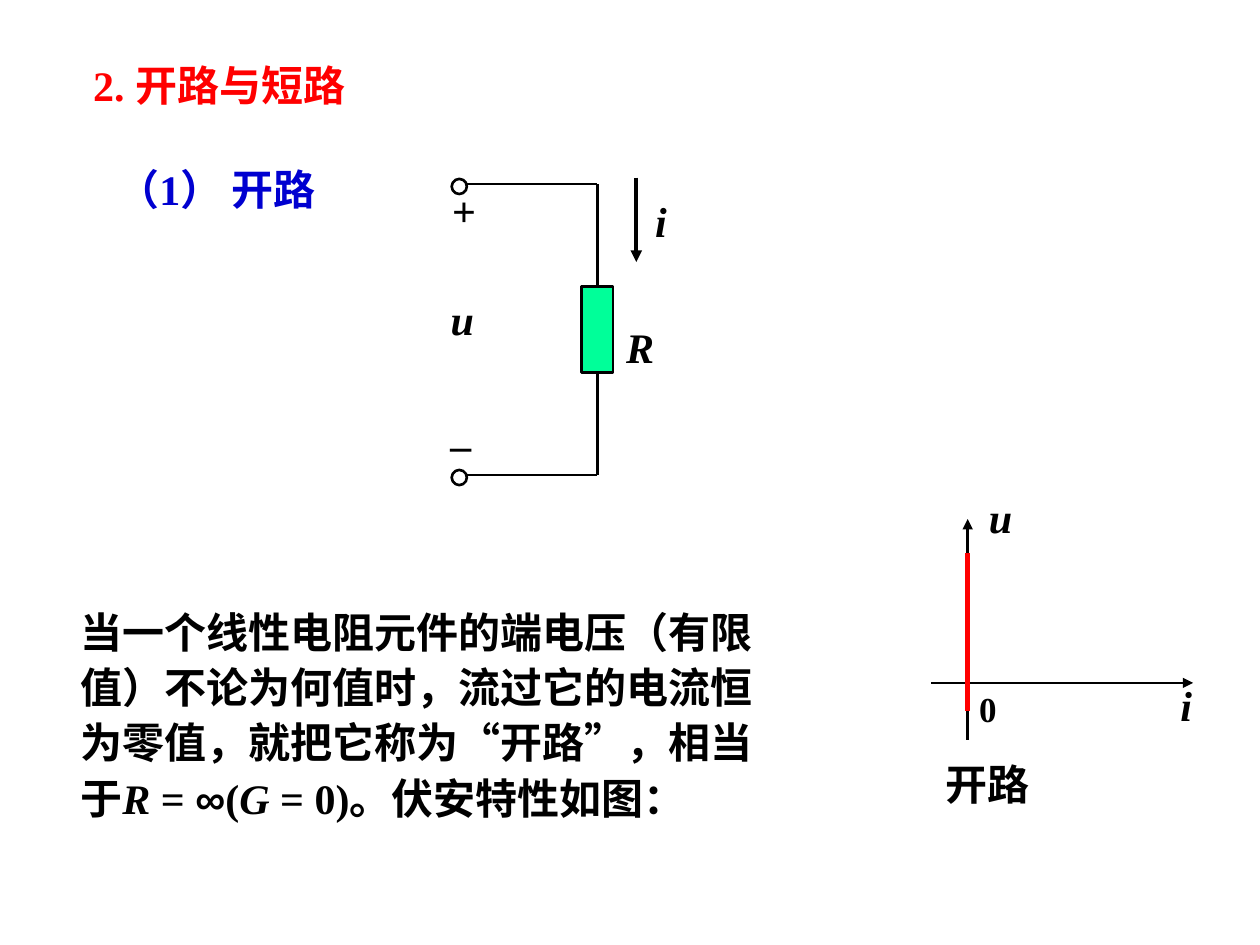
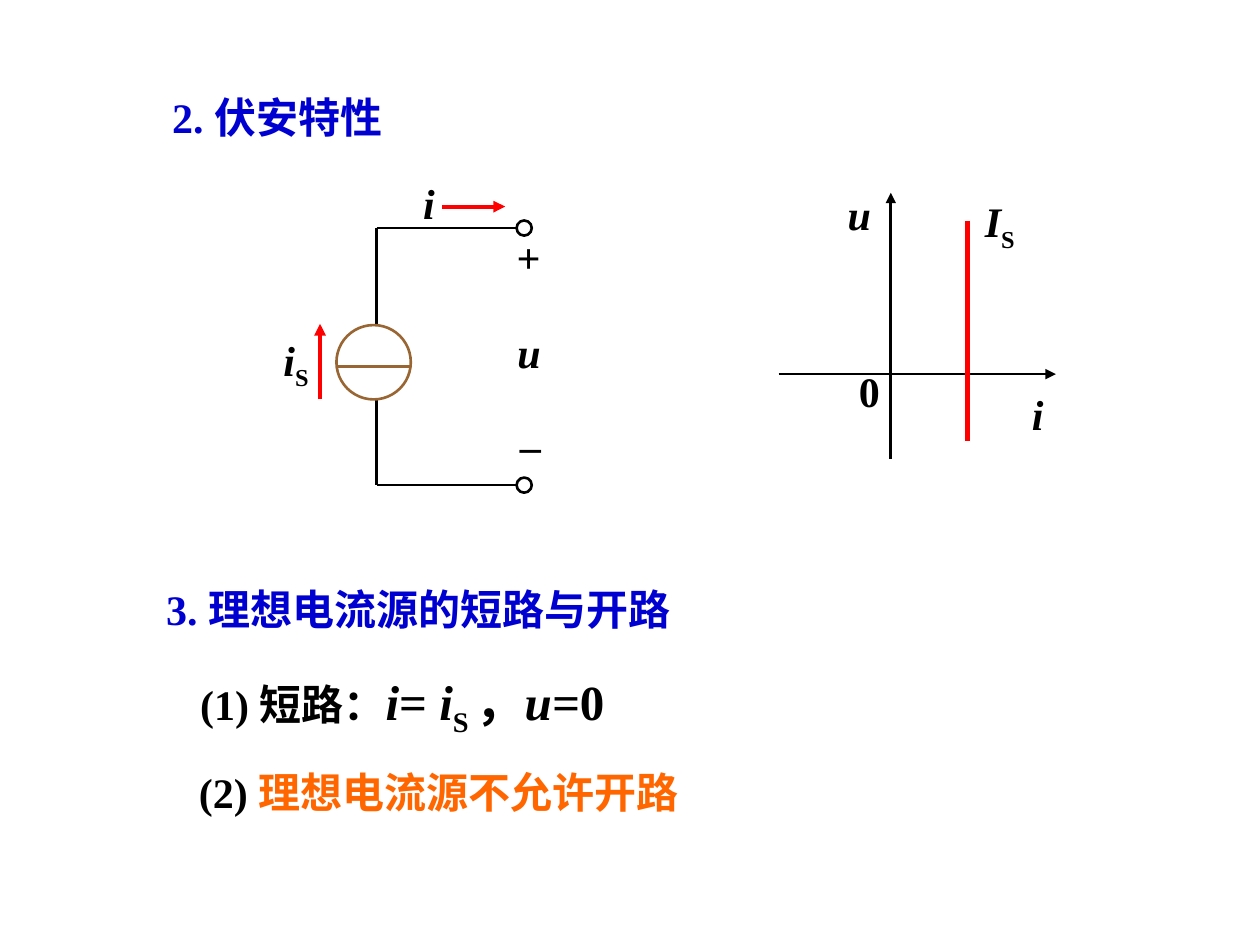
from dataclasses import dataclass
from lxml import etree
from pptx import Presentation
from pptx import util as u
from pptx.dml.color import RGBColor
from pptx.enum import shapes, text
from pptx.oxml.ns import qn

BLACK = RGBColor(0x00, 0x00, 0x00)
RED = RGBColor(0xFF, 0x00, 0x00)
BLUE = RGBColor(0x00, 0x00, 0xD0)
GREEN = RGBColor(0x00, 0xFF, 0x99)
BROWN = RGBColor(0x99, 0x66, 0x33)
ORANGE = RGBColor(0xFF, 0x66, 0x00)
COLS, ROWS = 100, 75
CELL = u.Inches(10) / COLS


@dataclass
class Run:
    """A stretch of text with one format."""
    text: str
    size: int = 24
    color: RGBColor = BLACK
    italic: bool = False
    sub: bool = False
    font: str = "Times New Roman"


def var(name, size=24):
    """Return an italic run for a variable."""
    return Run(name, size, italic=True)


def sub(name, size=24):
    """Return a subscript run."""
    return Run(name, size, sub=True)


def cells(*counts):
    """Convert grid cells to lengths."""
    return [u.Emu(round(n * CELL)) for n in counts]


def write(sp, runs, align, wrap=True, spacing=None):
    """Fill a text shape with one paragraph of formatted runs."""
    tf = sp.text_frame
    tf.auto_size = text.MSO_AUTO_SIZE.NONE
    tf.word_wrap = wrap
    tf.vertical_anchor = text.MSO_ANCHOR.MIDDLE
    tf.margin_left = tf.margin_right = u.Inches(0.1)
    tf.margin_top = tf.margin_bottom = u.Inches(0.05)
    p = tf.paragraphs[0]
    p.alignment = align
    if spacing:
        p.line_spacing = spacing
    for run in runs:
        r = p.add_run()
        r.text = run.text
        r.font.name = run.font
        r.font.size = u.Pt(run.size)
        r.font.bold = True
        r.font.italic = run.italic
        r.font.color.rgb = run.color
        if run.sub:
            r.font._element.set("baseline", "-25000")


@dataclass
class Region:
    """A part of a slide whose contents are placed from its top left cell."""
    s: object
    left: float
    top: float

    def at(self, x, y):
        """Return the slide position of a point in the region."""
        return cells(self.left + x, self.top + y)

    def label(self, x, y, *runs, rotation=0):
        """Centre a short label on a point."""
        sp = self.s.shapes.add_textbox(*self.at(x - 2.5, y - 2.5), *cells(5, 5))
        sp.rotation = rotation
        write(sp, runs, text.PP_ALIGN.CENTER, wrap=False)

    def line(self, x1, y1, x2, y2, color=BLACK, width=1.5, arrow=False):
        """Draw a straight line, with an arrowhead at its end if asked."""
        c = self.s.shapes.add_connector(
            shapes.MSO_CONNECTOR.STRAIGHT, *self.at(x1, y1), *self.at(x2, y2))
        c.line.color.rgb = color
        c.line.width = u.Pt(width)
        spPr = c._element.spPr
        if arrow:
            etree.SubElement(spPr.find(qn("a:ln")), qn("a:tailEnd"), type="triangle")
        etree.SubElement(spPr, qn("a:effectLst"))
        return c

    def shape(self, kind, x, y, w, h, line=BLACK, fill=None):
        """Draw an outlined shape centred on a point."""
        sp = self.s.shapes.add_shape(kind, *self.at(x - w / 2, y - h / 2), *cells(w, h))
        sp.shadow.inherit = False
        sp.line.color.rgb = line
        sp.line.width = u.Pt(1.5)
        if fill is None:
            sp.fill.background()
        else:
            sp.fill.solid()
            sp.fill.fore_color.rgb = fill
        return sp

    def circle(self, x, y, size=1.2, line=BLACK):
        """Draw a hollow circle centred on a point."""
        return self.shape(shapes.MSO_SHAPE.OVAL, x, y, size, size, line)


def titled_slide(prs, title, color, left, top, width):
    """Add a slide and place its title."""
    s = prs.slides.add_slide(prs.slide_layouts[5])
    sp = s.shapes.title
    sp.left, sp.top, sp.width, sp.height = cells(left, top, width, 5)
    write(sp, [Run(title, color=color)], text.PP_ALIGN.CENTER)
    return s


def add_text(s, left, top, width, height, *runs,
             align=text.PP_ALIGN.LEFT, spacing=None):
    """Add a wrapping text box."""
    sp = s.shapes.add_textbox(*cells(left, top, width, height))
    write(sp, runs, align, spacing=spacing)


def resistor_circuit(region):
    """Draw a resistor between two terminals."""
    x, top, bottom = 12.4, 0.6, 23.7
    resistor = region.shape(shapes.MSO_SHAPE.RECTANGLE, x, 12.15, 2.5, 6.8, fill=GREEN)
    for y, side, edge in ((top, 0, 8.75), (bottom, 2, 15.55)):
        region.line(x, edge, x, y).begin_connect(resistor, side)
        region.line(x, y, 2.1, y)
        region.circle(1.45, y + 0.2)
    region.line(15.5, 0.1, 15.5, 6.8, width=2.25, arrow=True)
    region.label(15.8, 13.5, var("R"))
    region.label(17.45, 3.5, var("i"))
    region.label(1.7, 11.3, var("u"))
    region.label(2.05, 2.9, var("+"), rotation=90)
    region.label(1.6, 21.2, var("–"))


def source_circuit(region):
    """Draw a current source between two terminals."""
    x, top, bottom = 8.4, 4.5, 24.9
    for y, edge in ((top, 12.1), (bottom, 18.1)):
        region.line(x, edge, x, y)
        region.line(x, y, 19.5, y)
        region.circle(20.1, y)
    region.circle(8.15, 15.15, 5.9, BROWN)
    region.line(5.2, 15.5, 11.1, 15.5, BROWN)
    for arrow in ((13.6, 2.8, 18.6, 2.8), (3.9, 18.1, 3.9, 12.1)):
        region.line(*arrow, color=RED, width=2.25, arrow=True)
    region.label(2, 15.2, var("i"), sub("S"))
    region.label(12.55, 2.5, var("i"))
    region.label(20.5, 14.3, var("u"))
    region.label(20.45, 7.2, Run("+"), rotation=180)
    region.label(20.6, 20.6, Run("_"))


def characteristic(region, width, height, origin, curve, labels):
    """Draw the u-i axes, a vertical red curve and the labels."""
    x0, y0 = origin
    x, top, bottom = curve
    region.line(0, y0, width, y0, arrow=True)
    region.line(x0, height, x0, 0, arrow=True)
    region.line(x, top, x, bottom, RED, 3)
    for x, y, *runs in labels:
        region.label(x, y, *runs)


def open_circuit_slide(prs):
    """Build the slide on the open circuit."""
    s = titled_slide(prs, "2. 开路与短路", RED, 4.5, 4.2, 25.8)
    add_text(s, 4.3, 12.5, 25.8, 5, Run("（1） 开路", color=BLUE),
             align=text.PP_ALIGN.CENTER)
    resistor_circuit(Region(s, 35, 14))
    add_text(s, 5.4, 47.2, 57.3, 18.6,
             Run("当一个线性电阻元件的端电压（有限值）不论为何值时，"
                 "流过它的电流恒为零值，就把它称为“开路”，相当于"),
             var("R "), Run("= "), Run("∞", font="Arial"), Run("("), var("G "),
             Run("= 0)。伏安特性如图："), spacing=1.1)
    characteristic(Region(s, 73.9, 41.2), 20.8, 17.5, (2.9, 13), (2.9, 2.7, 15.2), [
        (5.5, -0.2, var("u")), (20.25, 14.7, var("i")),
        (4.5, 15, Run("0", 20)), (4.5, 21, Run("开路"))])


def current_source_slide(prs):
    """Build the slide on the ideal current source."""
    s = titled_slide(prs, "2. 伏安特性", BLUE, 9, 6.8, 26)
    source_circuit(Region(s, 21.5, 13.6))
    characteristic(Region(s, 61.8, 15.3), 22, 21.1, (8.9, 14.4), (15, 2.2, 19.7), [
        (17.55, 2.5, var("I"), sub("S")), (6.4, 1.7, var("u")),
        (20.55, 17.5, var("i")), (7.2, 15.7, Run("0"))])
    add_text(s, 12.2, 45.8, 44.8, 5, Run("3. 理想电流源的短路与开路", color=BLUE))
    add_text(s, 14.9, 51.8, 47.7, 7.2, Run("(1) 短路："), var("i", 28), Run("= ", 28),
             var("i", 28), sub("S ", 28), Run("，", 28), var("u=", 28), Run("0", 28),
             spacing=1.2)
    add_text(s, 14.8, 59.5, 44.9, 5.8, Run("(2) "),
             Run("理想电流源不允许开路", color=ORANGE), spacing=1.2)


def main():
    """Build and save the presentation."""
    prs = Presentation()
    prs.slide_width, prs.slide_height = cells(COLS, ROWS)
    open_circuit_slide(prs)
    current_source_slide(prs)
    prs.save("out.pptx")


if __name__ == "__main__":
    main()
